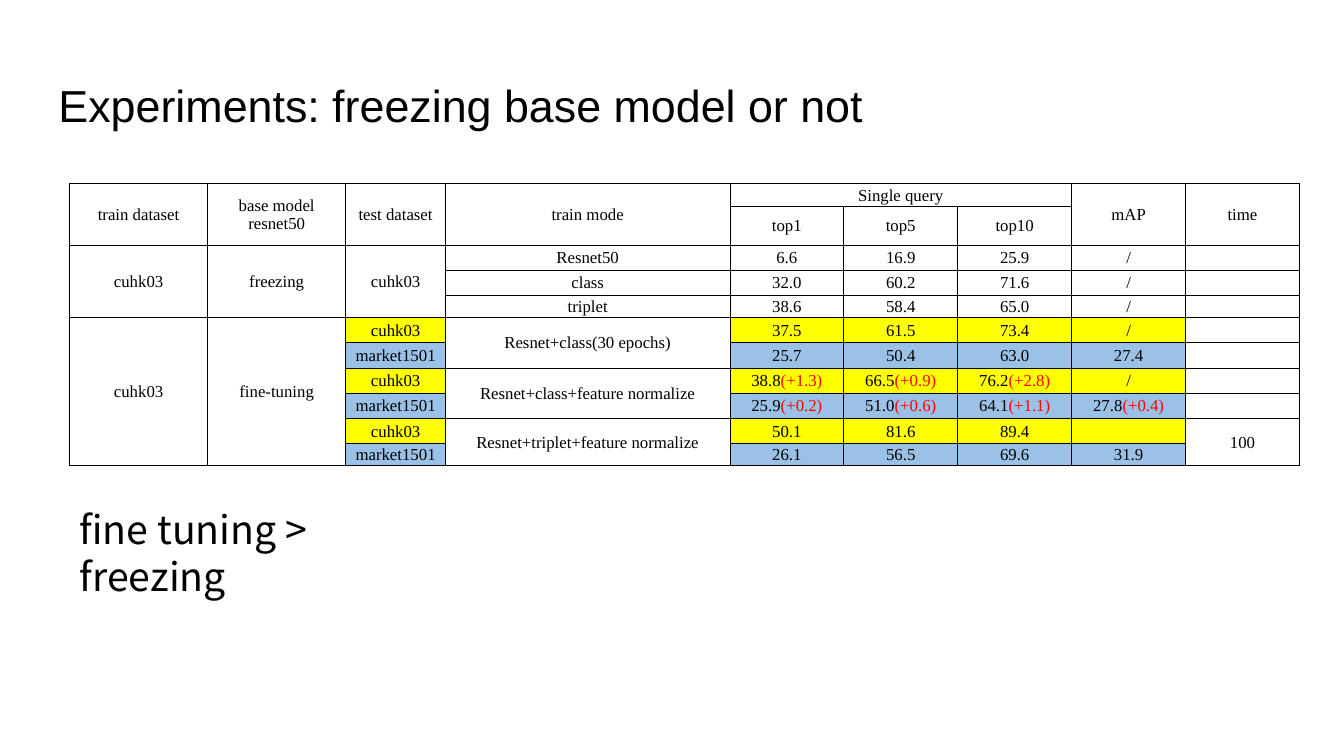
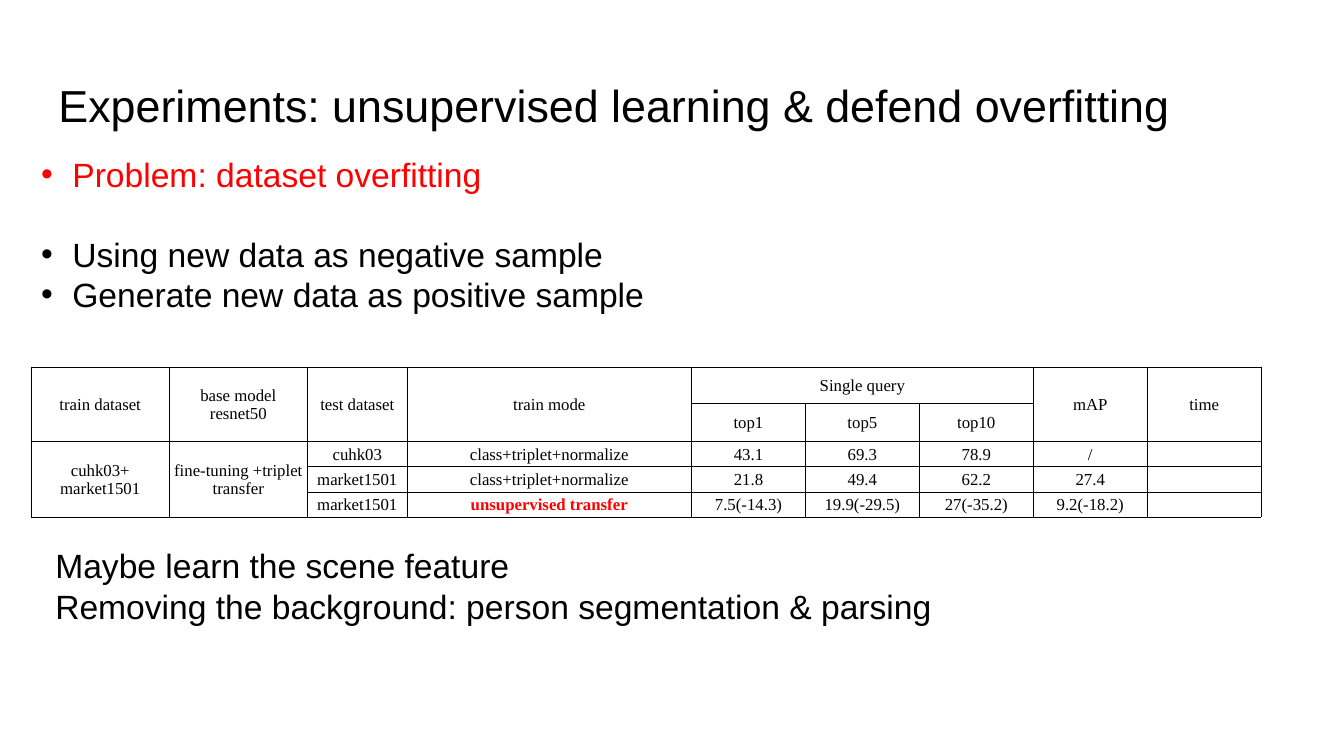
from lxml import etree
from pptx import Presentation
from pptx import util as u
from pptx.dml.color import RGBColor
from pptx.enum import text
from pptx.oxml.ns import qn

COLORS = {"black": "000000", "white": "FFFFFF", "red": "FF0000",
          "yellow": "FFFF00", "blue": "9BC2E6"}
COLUMN_WIDTHS = [1.37, 1.37, 0.99, 2.82] + [1.13] * 5

# None continues the cell above; in the first row, the cell to the left
HEADER = [
    ["train dataset", "base model resnet50", "test dataset", "train mode",
     "Single query", None, None, "mAP", "time"],
    [None, None, None, None, "top1", "top5", "top10", None, None],
]
FREEZING_ROWS = [
    ["cuhk03", "freezing", "cuhk03", "Resnet50", "6.6", "16.9", "25.9", "/", ""],
    [None, None, None, "class", "32.0", "60.2", "71.6", "/", ""],
    [None, None, None, "triplet", "38.6", "58.4", "65.0", "/", ""],
    ["cuhk03", "fine-tuning", "cuhk03", "Resnet+class(30 epochs)",
     "37.5", "61.5", "73.4", "/", ""],
    [None, None, "market1501", None, "25.7", "50.4", "63.0", "27.4", ""],
    [None, None, "cuhk03", "Resnet+class+feature normalize",
     "38.8(+1.3)", "66.5(+0.9)", "76.2(+2.8)", "/", ""],
    [None, None, "market1501", None,
     "25.9(+0.2)", "51.0(+0.6)", "64.1(+1.1)", "27.8(+0.4)", ""],
    [None, None, "cuhk03", "Resnet+triplet+feature normalize",
     "50.1", "81.6", "89.4", "", "100"],
    [None, None, "market1501", None, "26.1", "56.5", "69.6", "31.9", None],
]
TRANSFER_ROWS = [
    ["cuhk03+ market1501", "fine-tuning +triplet transfer", "cuhk03",
     "class+triplet+normalize", "43.1", "69.3", "78.9", "/", ""],
    [None, None, "market1501", "class+triplet+normalize",
     "21.8", "49.4", "62.2", "27.4", ""],
    [None, None, "market1501", "unsupervised transfer",
     "7.5(-14.3)", "19.9(-29.5)", "27(-35.2)", "9.2(-18.2)", ""],
]

SLIDES = [
    {"title": "Experiments: freezing base model or not",
     "table_at": (0.69, 1.82), "rows": HEADER + FREEZING_ROWS,
     "heights": [0.23, 0.38, 0.25, 0.25, 0.22] + [0.25] * 5 + [0.22],
     "first_filled_row": 5,
     "boxes": [{"at": (0.69, 4.96, 3.85, 0.57), "size": 28, "font": "Noto Sans CJK SC",
                "lines": [("fine tuning > freezing", "black", 0)]}]},
    {"title": "Experiments: unsupervised learning & defend overfitting",
     "table_at": (0.31, 3.64), "rows": HEADER + TRANSFER_ROWS,
     "heights": [0.36, 0.38, 0.25, 0.25, 0.25],
     "first_filled_row": 5,
     "boxes": [{"at": (0.31, 1.48, 11.73, 1.72), "size": 24, "font": "Arial", "bullet": True,
                "lines": [("Problem: dataset overfitting", "red", 0),
                          ("Using new data as negative sample", "black", 28),
                          ("Generate new data as positive sample", "black", 0)]},
               {"at": (0.45, 5.36, 9.03, 0.91), "size": 24, "font": "Arial",
                "lines": [("Maybe learn the scene feature", "black", 0),
                          ("Removing the background: person segmentation & parsing",
                           "black", 0)]}]},
]


def set_font(font, name, size, color):
    font.name, font.size = name, u.Pt(size)
    font.color.rgb = RGBColor.from_string(COLORS[color])


def style_cell(cell, value, fill):
    cell.fill.solid()
    cell.fill.fore_color.rgb = RGBColor.from_string(COLORS[fill])
    cell.vertical_anchor = text.MSO_ANCHOR.MIDDLE
    cell.margin_left = cell.margin_right = cell.margin_top = u.Inches(0.01)
    cell.margin_bottom = 0

    # Gains over the baseline and the transfer mode are red
    paragraph = cell.text_frame.paragraphs[0]
    paragraph.alignment = text.PP_ALIGN.CENTER
    set_font(paragraph.font, "Times New Roman", 12, "black")
    number, bracket, gain = (value or "").partition("(+")
    if number:
        run = paragraph.add_run()
        run.text = number
        if number == "unsupervised transfer":
            run.font.bold = True
            run.font.color.rgb = RGBColor.from_string(COLORS["red"])
    else:
        etree.SubElement(paragraph._p, qn("a:endParaRPr"), sz="1200")
    if gain:
        run = paragraph.add_run()
        run.text = bracket + gain
        run.font.color.rgb = RGBColor.from_string(COLORS["red"])

    # Borders come before the fill in the cell properties
    properties = cell._tc.get_or_add_tcPr()
    for index, side in enumerate(("a:lnL", "a:lnR", "a:lnT", "a:lnB")):
        line = etree.Element(qn(side), w=str(u.Pt(0.5)))
        solid = etree.SubElement(line, qn("a:solidFill"))
        etree.SubElement(solid, qn("a:srgbClr"), val=COLORS["black"])
        properties.insert(index, line)


presentation = Presentation()
presentation.slide_width = u.Inches(13.33)
presentation.slide_height = u.Inches(7.5)

for content in SLIDES:
    slide = presentation.slides.add_slide(presentation.slide_layouts[5])

    # Title
    title = slide.shapes.title
    title.left, title.top, title.width, title.height = map(u.Inches, (0.45, 0.65, 12.42, 0.84))
    frame = title.text_frame
    frame.text = content["title"]
    frame.auto_size = text.MSO_AUTO_SIZE.NONE
    frame.vertical_anchor = text.MSO_ANCHOR.MIDDLE
    frame.margin_left = frame.margin_right = u.Inches(0.13)
    frame.margin_top = frame.margin_bottom = u.Inches(0.13)
    paragraph = frame.paragraphs[0]
    paragraph.alignment = text.PP_ALIGN.LEFT
    paragraph.line_spacing = 0.9
    set_font(paragraph.font, "Arial", 32, "black")

    # Results table
    rows, heights = content["rows"], content["heights"]
    left, top = content["table_at"]
    table = slide.shapes.add_table(
        len(rows), len(COLUMN_WIDTHS), u.Inches(left), u.Inches(top),
        u.Inches(sum(COLUMN_WIDTHS)), u.Inches(sum(heights))).table
    table.first_row = table.horz_banding = False
    for column, width in zip(table.columns, COLUMN_WIDTHS):
        column.width = u.Inches(width)
    for row, height in zip(table.rows, heights):
        row.height = u.Inches(height)
    for r, values in enumerate(rows):
        for c, value in enumerate(values):
            fill = "white"
            if r >= content["first_filled_row"] and c in (2, 4, 5, 6, 7):
                fill = "yellow" if values[2] == "cuhk03" else "blue"
            style_cell(table.cell(r, c), value, fill)

    # Merged cells
    table.cell(0, 4).merge(table.cell(0, 6))
    for c in range(len(COLUMN_WIDTHS)):
        for r, values in enumerate(rows):
            last = r
            while last + 1 < len(rows) and rows[last + 1][c] is None:
                last += 1
            if values[c] is not None and last > r:
                table.cell(r, c).merge(table.cell(last, c))

    # Text boxes
    for box in content["boxes"]:
        frame = slide.shapes.add_textbox(*map(u.Inches, box["at"])).text_frame
        frame.word_wrap = True
        frame.auto_size = text.MSO_AUTO_SIZE.SHAPE_TO_FIT_TEXT
        for index, (line, color, space_before) in enumerate(box["lines"]):
            paragraph = frame.add_paragraph() if index else frame.paragraphs[0]
            paragraph.text = line
            if space_before:
                paragraph.space_before = u.Pt(space_before)
            if box.get("bullet"):
                properties = paragraph._p.get_or_add_pPr()
                properties.set("marL", str(u.Inches(0.31)))
                properties.set("indent", str(-u.Inches(0.31)))
                etree.SubElement(properties, qn("a:buFont"), typeface="Arial")
                etree.SubElement(properties, qn("a:buChar"), char="•")
            set_font(paragraph.font, box["font"], box["size"], color)

presentation.save("out.pptx")
